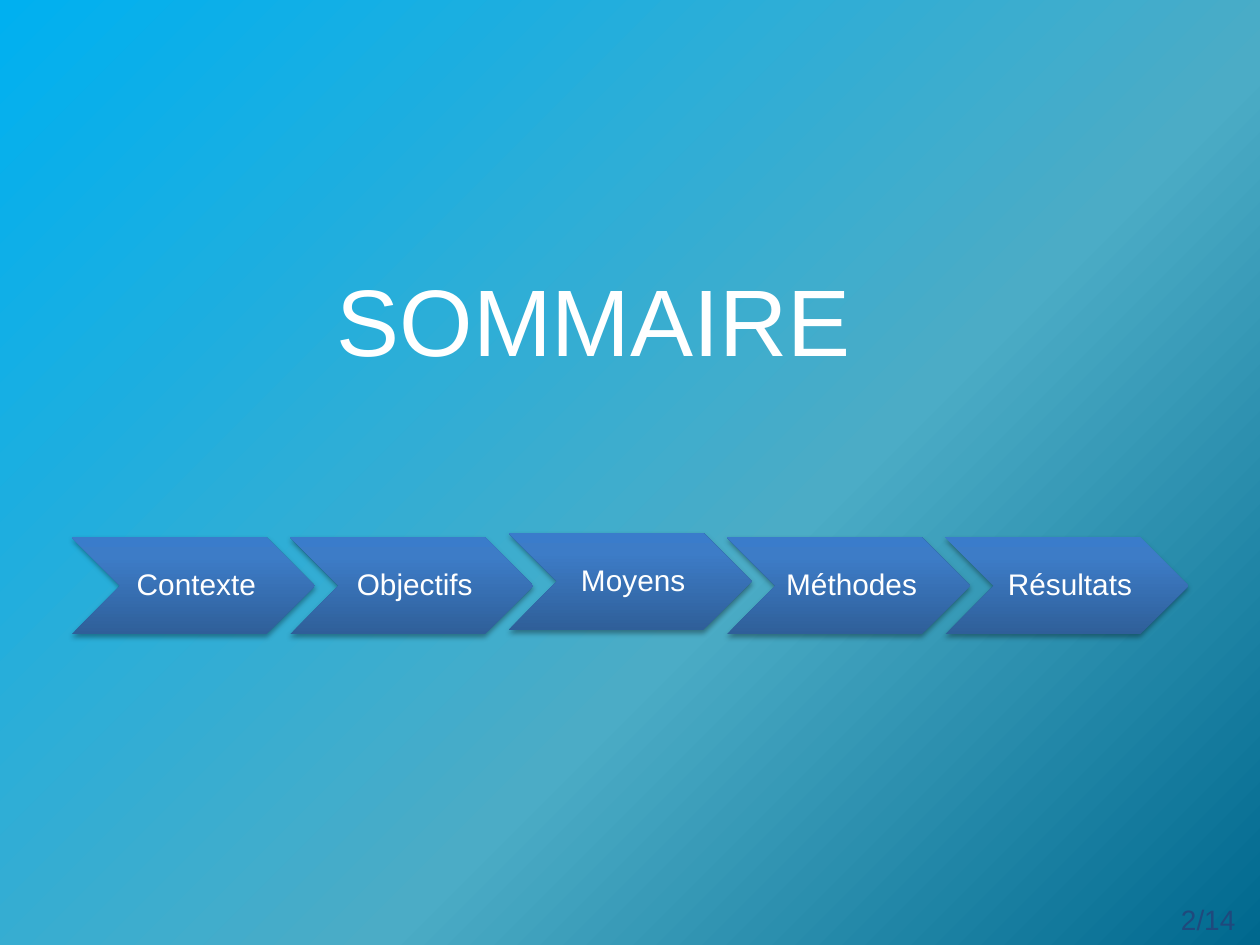
"""Build the summary slide: a title above a row of five chevron steps."""
import pptx
import pptx.util
from lxml import etree
from pptx.dml.color import RGBColor
from pptx.enum.shapes import MSO_SHAPE
from pptx.enum.text import MSO_ANCHOR, PP_ALIGN
from pptx.oxml.ns import qn

Pt = pptx.util.Pt

TITLE = "SOMMAIRE"
STEPS = [("Contexte", 0), ("Objectifs", 0), ("Moyens", -2.5), ("Méthodes", 0), ("Résultats", 0)]
PAGE = "2/14"
FONT = "Arial"
COLORS = {"white": "FFFFFF", "page": "1F497D", "shadow": "000000",
          "deep": "00688E", "teal": "4BACC6", "sky": "00B0F0",
          "dark": "2F5F99", "mid": "3D7CC7", "light": "3A7CCB"}
BACKGROUND_STOPS = [(0, "deep"), (40, "teal"), (100, "sky")]
CHEVRON_STOPS = [(0, "dark"), (80, "mid"), (100, "light")]
ROW_LEFT, ROW_TOP, STEP = 41, 307, 124.8
CHEVRON_W, CHEVRON_H = 139, 55.5


def add(parent, tag, **attrs):
    return etree.SubElement(parent, qn(tag), {k: str(v) for k, v in attrs.items()})


def set_stops(grad, stops):
    for child in list(grad):
        grad.remove(child)
    gs_list = add(grad, "a:gsLst")
    for pos, color in stops:
        add(add(gs_list, "a:gs", pos=pos * 1000), "a:srgbClr", val=COLORS[color])


def set_background(s):
    s.background.fill.gradient()
    grad = s._element.find(".//" + qn("a:gradFill"))
    set_stops(grad, BACKGROUND_STOPS)
    add(add(grad, "a:path", path="circle"), "a:fillToRect", l=100000, t=100000)


def add_text(sp, text, size, color, align, insets):
    tf = sp.text_frame
    tf.word_wrap = True
    tf.vertical_anchor = MSO_ANCHOR.MIDDLE
    tf.margin_left, tf.margin_top, tf.margin_right, tf.margin_bottom = map(Pt, insets)
    p = tf.paragraphs[0]
    p.alignment = align
    r = p.add_run()
    r.text = text
    r.font.name, r.font.size = FONT, Pt(size)
    r.font.color.rgb = RGBColor.from_string(COLORS[color])
    return p


def add_chevron(s, index, text, shift):
    sp = s.shapes.add_shape(MSO_SHAPE.CHEVRON, Pt(ROW_LEFT + index * STEP), Pt(ROW_TOP + shift),
                            Pt(CHEVRON_W), Pt(CHEVRON_H))
    sp.fill.gradient()
    spPr = sp._element.spPr
    grad = spPr.find(qn("a:gradFill"))
    set_stops(grad, CHEVRON_STOPS)
    add(grad, "a:lin", ang=270 * 60000, scaled=0)
    sp.line.fill.background()
    sp.shadow.inherit = False
    shadow = add(spPr.find(qn("a:effectLst")), "a:outerShdw", blurRad=Pt(3.1), dist=Pt(1.8),
                 dir=90 * 60000, rotWithShape=0)
    add(add(shadow, "a:srgbClr", val=COLORS["shadow"]), "a:alpha", val=35000)
    p = add_text(sp, text, 17, "white", PP_ALIGN.CENTER, (5, 1.5, 1.5, 1.5))
    p.line_spacing = 0.9


def main():
    prs = pptx.Presentation()
    prs.slide_width, prs.slide_height = Pt(720), Pt(540)
    s = prs.slides.add_slide(prs.slide_layouts[5])
    set_background(s)
    sp = s.shapes.title
    sp.left, sp.top, sp.width, sp.height = Pt(90.7), Pt(142.5), Pt(497.5), Pt(79)
    add_text(sp, TITLE, 54, "white", PP_ALIGN.CENTER, (7.2, 3.6, 7.2, 3.6))
    for index, (text, shift) in enumerate(STEPS):
        add_chevron(s, index, text, shift)
    sp = s.shapes.add_textbox(Pt(633), Pt(511), Pt(80), Pt(29))
    add_text(sp, PAGE, 16, "page", PP_ALIGN.RIGHT, (7.2, 3.6, 7.2, 3.6))
    prs.save("out.pptx")


if __name__ == "__main__":
    main()
